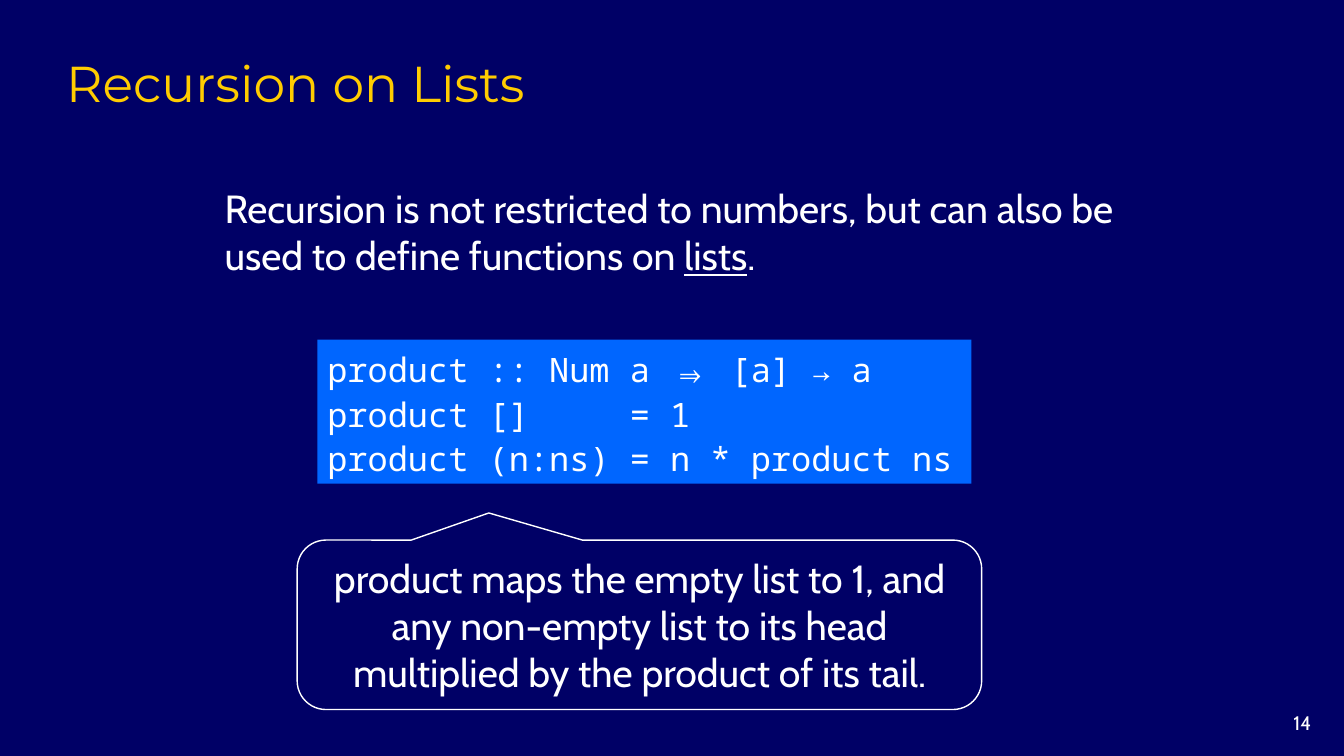
from dataclasses import dataclass
from typing import Optional

from pptx import Presentation
from pptx.dml.color import RGBColor
from pptx.enum.shapes import MSO_SHAPE
from pptx.enum.text import MSO_ANCHOR, MSO_AUTO_SIZE, PP_ALIGN
from pptx.util import Cm, Pt


@dataclass(frozen=True)
class Theme:
    background: RGBColor = RGBColor(0x00, 0x00, 0x66)
    title: RGBColor = RGBColor(0xFF, 0xCC, 0x00)
    text: RGBColor = RGBColor(0xFF, 0xFF, 0xFF)
    code_fill: RGBColor = RGBColor(0x00, 0x66, 0xFF)
    title_font: str = "Montserrat"
    text_font: str = "Cabin"
    code_font: str = "Noto Sans Mono"
    title_size: int = 36
    text_size: int = 28
    code_size: int = 24
    number_size: int = 14


THEME = Theme()


@dataclass(frozen=True)
class Block:
    """A box of text; underscores around a word underline it."""
    box: tuple[float, float, float, float]
    lines: tuple[str, ...]
    size: int = THEME.text_size
    font: str = THEME.text_font
    color: RGBColor = THEME.text
    align: PP_ALIGN = PP_ALIGN.LEFT
    anchor: MSO_ANCHOR = MSO_ANCHOR.MIDDLE
    spacing: Optional[float] = None
    wrap: bool = True
    grow: bool = True
    shape: Optional[MSO_SHAPE] = None
    adjustments: tuple[float, ...] = ()
    fill: Optional[RGBColor] = None
    line: Optional[RGBColor] = None


BLOCKS = (
    # Slide number
    Block((31.04, 17.78, 2.26, 0.84), ("14",), size=THEME.number_size,
          align=PP_ALIGN.RIGHT, anchor=MSO_ANCHOR.TOP, grow=False),
    # Title
    Block((1.42, 1.07, 28.78, 1.9), ("Recursion on Lists",),
          size=THEME.title_size, font=THEME.title_font, color=THEME.title,
          anchor=MSO_ANCHOR.BOTTOM, grow=False),
    # Introduction
    Block((5.41, 4.52, 23.04, 2.62),
          ("Recursion is not restricted to numbers, but can also be "
           "used to define functions on _lists_.",)),
    # Code
    Block((8, 8.56, 16.48, 3.63),
          ("product :: Num a ⇒ [a] → a",
           "product []     = 1",
           "product (n:ns) = n * product ns"),
          size=THEME.code_size, font=THEME.code_font, spacing=1.1,
          wrap=False, shape=MSO_SHAPE.RECTANGLE, fill=THEME.code_fill),
    # Explanation
    Block((7.49, 13.61, 17.25, 4.27),
          ("product maps the empty list to 1, and any non-empty list to "
           "its head multiplied by the product of its tail.",),
          align=PP_ALIGN.CENTER,
          shape=MSO_SHAPE.ROUNDED_RECTANGULAR_CALLOUT,
          adjustments=(-0.22, -0.66, 0.17), line=THEME.text),
)


def add_frame(slide, block: Block):
    """Add the text box or preset shape that holds a block."""
    box = [Cm(v) for v in block.box]
    if block.shape is None:
        return slide.shapes.add_textbox(*box)
    sp = slide.shapes.add_shape(block.shape, *box)
    sp.shadow.inherit = False
    for i, value in enumerate(block.adjustments):
        sp.adjustments[i] = value
    if block.fill is None:
        sp.fill.background()
    else:
        sp.fill.solid()
        sp.fill.fore_color.rgb = block.fill
    if block.line is None:
        sp.line.fill.background()
    else:
        sp.line.color.rgb = block.line
        sp.line.width = Pt(1)
    return sp


def add_block(slide, block: Block) -> None:
    tf = add_frame(slide, block).text_frame
    tf.word_wrap = block.wrap
    tf.vertical_anchor = block.anchor
    tf.auto_size = (MSO_AUTO_SIZE.SHAPE_TO_FIT_TEXT if block.grow
                    else MSO_AUTO_SIZE.NONE)
    for i, text in enumerate(block.lines):
        p = tf.add_paragraph() if i else tf.paragraphs[0]
        p.alignment = block.align
        if block.spacing:
            p.line_spacing = block.spacing
        p.font.size = Pt(block.size)
        p.font.name = block.font
        p.font.color.rgb = block.color
        for j, part in enumerate(text.split("_")):
            r = p.add_run()
            r.text = part
            if j % 2:
                r.font.underline = True


def main() -> None:
    prs = Presentation()
    prs.slide_width, prs.slide_height = Cm(33.87), Cm(19.05)
    slide = prs.slides.add_slide(prs.slide_layouts[6])
    slide.background.fill.solid()
    slide.background.fill.fore_color.rgb = THEME.background
    for block in BLOCKS:
        add_block(slide, block)
    prs.save("out.pptx")


if __name__ == "__main__":
    main()
